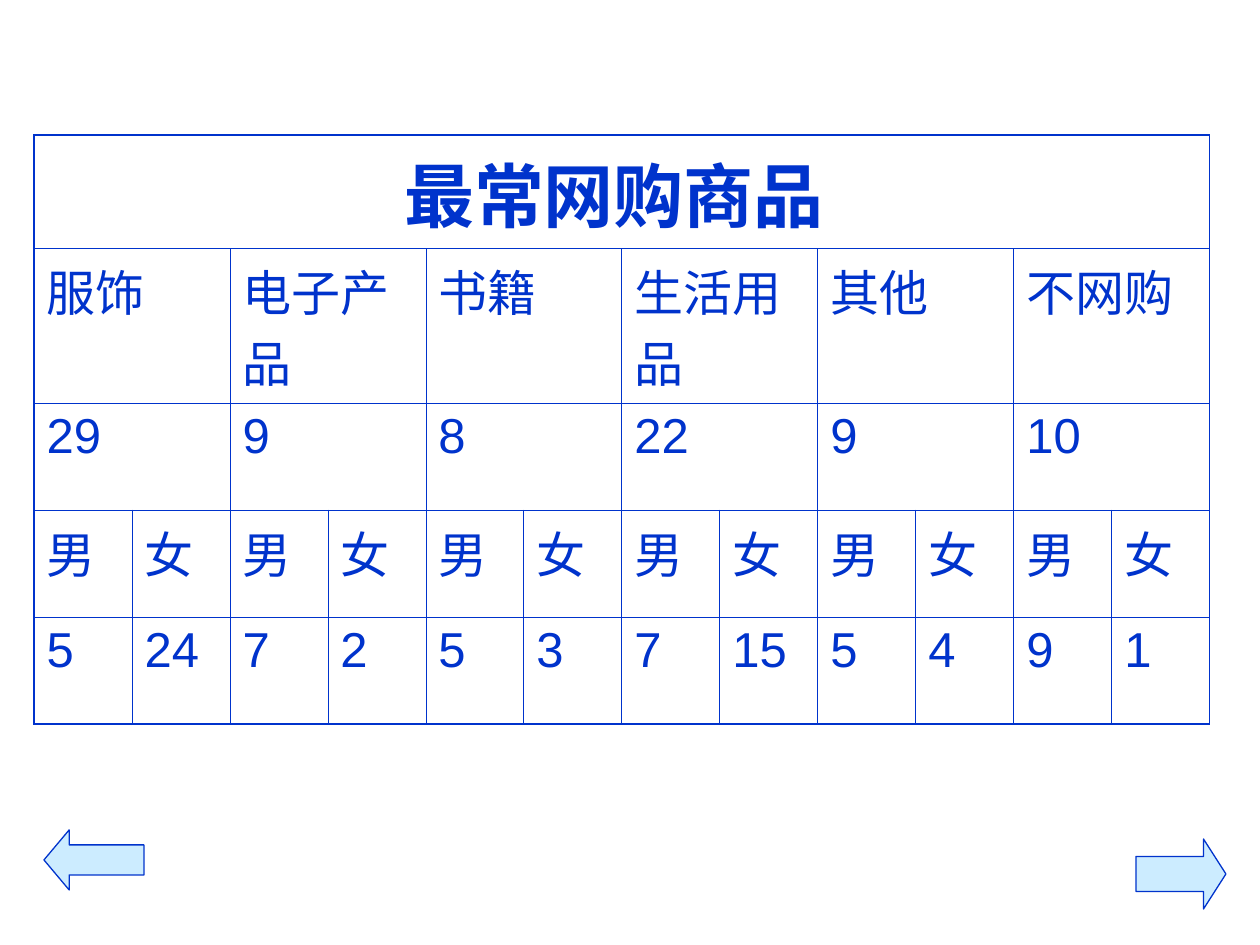
from lxml import etree
from pptx import Presentation
from pptx import util as u
from pptx.dml.color import RGBColor
from pptx.enum import shapes, text
from pptx.oxml.ns import qn

PX = 914400 // 126
BLUE = "0033CC"
PALE_BLUE = "CCECFF"
THIN, THICK = 0.45, 1.08

TITLE = "最常网购商品 "
# Product, total, men, women
PRODUCTS = [
    ("服饰", 29, 5, 24),
    ("电子产品", 9, 7, 2),
    ("书籍", 8, 5, 3),
    ("生活用品", 22, 7, 15),
    ("其他", 9, 5, 4),
    ("不网购", 10, 9, 1),
]
COLUMN_WIDTH = 98
ROW_HEIGHTS = [107, 131, 107, 107, 107]


def color(hex_string):
    return RGBColor.from_string(hex_string)


def draw_borders(cell, row, column, last_row, last_column):
    """Draw thick lines on the outside of the table and thin ones within."""
    outer_sides = {
        "a:lnL": column == 0,
        "a:lnR": column == last_column,
        "a:lnT": row == 0,
        "a:lnB": row == last_row,
    }
    properties = cell._tc.get_or_add_tcPr()
    for tag, is_outer in outer_sides.items():
        width = u.Pt(THICK if is_outer else THIN)
        line = etree.SubElement(properties, qn(tag), w=str(width))
        fill = etree.SubElement(line, qn("a:solidFill"))
        etree.SubElement(fill, qn("a:srgbClr"), val=BLUE)


def write_cell(cell, value, size=28, bold=False, alignment=text.PP_ALIGN.LEFT):
    paragraph = cell.text_frame.paragraphs[0]
    paragraph.text = str(value)
    paragraph.alignment = alignment
    font = paragraph.runs[0].font
    font.name = "Arial"
    font.size = u.Pt(size)
    font.bold = bold
    font.color.rgb = color(BLUE)


def add_survey_table(slide, left, top):
    row_count, column_count = len(ROW_HEIGHTS), 2 * len(PRODUCTS)
    frame = slide.shapes.add_table(
        row_count, column_count, left * PX, top * PX,
        column_count * COLUMN_WIDTH * PX, sum(ROW_HEIGHTS) * PX)
    table = frame.table
    table.first_row = table.horz_banding = False
    for column in table.columns:
        column.width = COLUMN_WIDTH * PX
    for row, height in zip(table.rows, ROW_HEIGHTS):
        row.height = height * PX

    for row in range(row_count):
        for column in range(column_count):
            cell = table.cell(row, column)
            draw_borders(cell, row, column, row_count - 1, column_count - 1)
            cell.fill.background()

    table.cell(0, 0).merge(table.cell(0, column_count - 1))
    write_cell(table.cell(0, 0), TITLE, 40, True, text.PP_ALIGN.CENTER)
    for index, (product, total, men, women) in enumerate(PRODUCTS):
        first = 2 * index
        for row, value in ((1, product), (2, total)):
            table.cell(row, first).merge(table.cell(row, first + 1))
            write_cell(table.cell(row, first), value)
        for column, (label, count) in enumerate((("男", men), ("女", women)), first):
            write_cell(table.cell(3, column), label)
            write_cell(table.cell(4, column), count)


def add_arrow(slide, kind, left, top, width, height, head):
    shape = slide.shapes.add_shape(
        kind, left * PX, top * PX, width * PX, height * PX)
    shape.adjustments[1] = head
    shape.shadow.inherit = False
    shape.fill.solid()
    shape.fill.fore_color.rgb = color(PALE_BLUE)
    shape.line.color.rgb = color(BLUE)
    shape.line.width = u.Pt(0.75)


def main():
    presentation = Presentation()
    presentation.slide_width = 1260 * PX
    presentation.slide_height = 945 * PX
    slide = presentation.slides.add_slide(presentation.slide_layouts[6])
    add_survey_table(slide, 34, 135)
    add_arrow(slide, shapes.MSO_SHAPE.RIGHT_ARROW, 1136, 839, 90, 70, 0.32)
    add_arrow(slide, shapes.MSO_SHAPE.LEFT_ARROW, 44, 830, 100, 60, 0.42)
    presentation.save("out.pptx")


if __name__ == "__main__":
    main()
